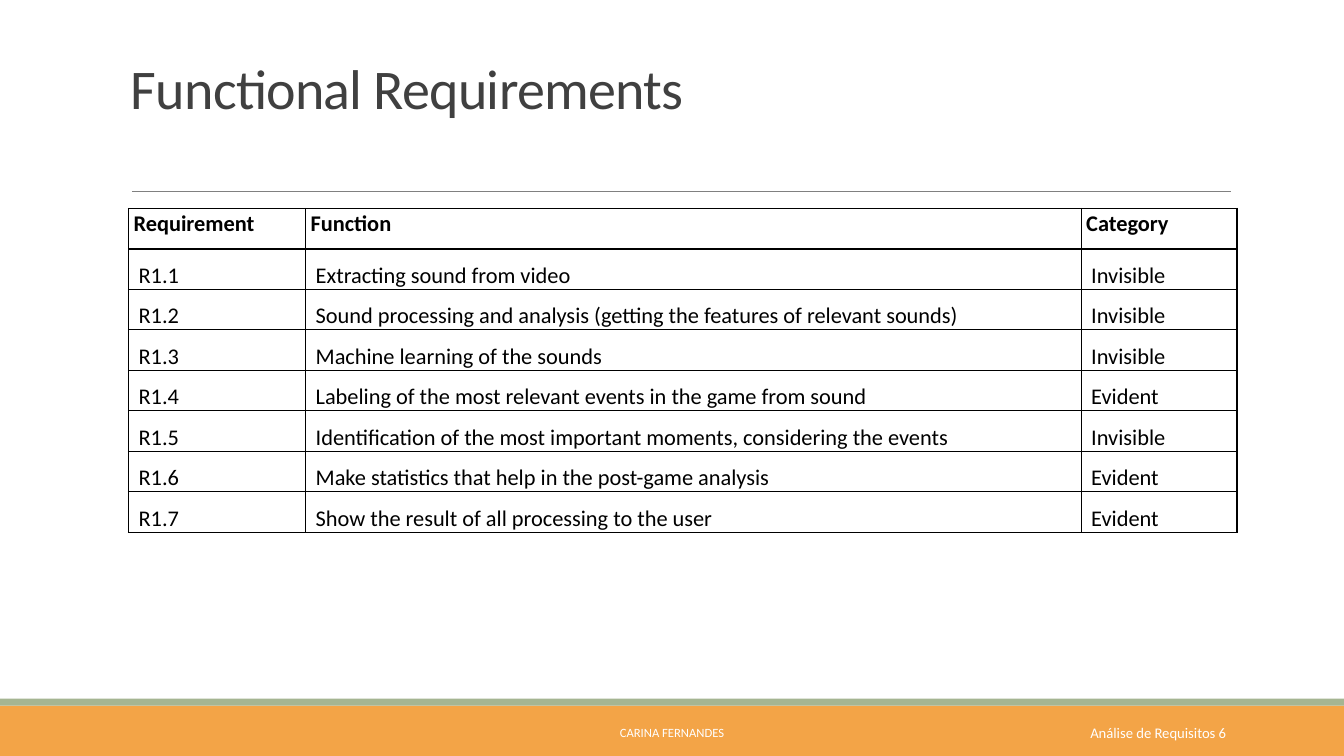
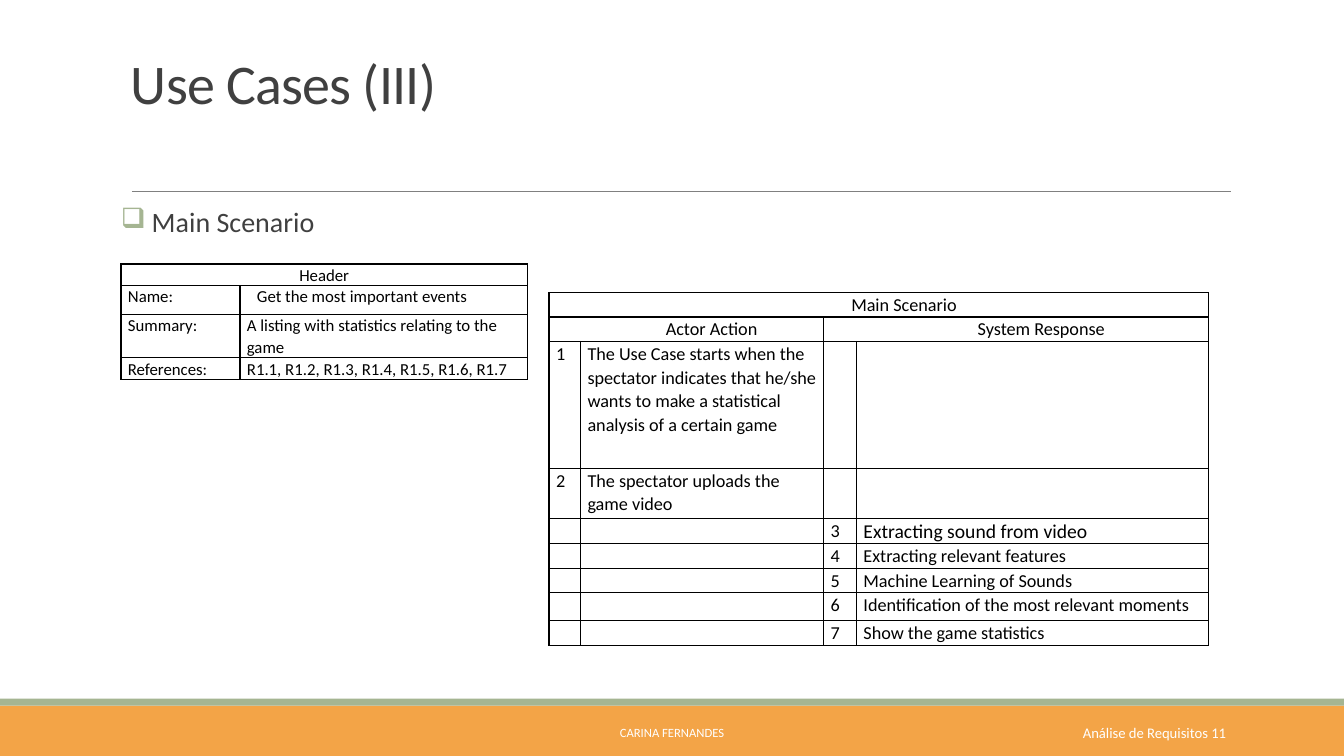
from dataclasses import dataclass
from typing import Any, NamedTuple

from lxml.etree import SubElement
from pptx import Presentation
from pptx.dml.color import RGBColor
from pptx.enum.shapes import MSO_CONNECTOR, MSO_SHAPE
from pptx.enum.text import MSO_ANCHOR, PP_ALIGN
from pptx.oxml import parse_xml
from pptx.oxml.ns import nsdecls, qn
from pptx.util import Pt


# Theme: colours and type sizes
@dataclass(frozen=True)
class Theme:
    font: str = "Calibri"
    band: RGBColor = RGBColor(0xF3, 0xA4, 0x47)
    trim: RGBColor = RGBColor(0xA5, 0xB5, 0x92)
    rule: RGBColor = RGBColor(0x80, 0x80, 0x80)
    head: RGBColor = RGBColor(0x40, 0x40, 0x40)
    ink: RGBColor = RGBColor(0, 0, 0)
    white: RGBColor = RGBColor(0xFF, 0xFF, 0xFF)
    title: float = 40
    body: float = 20
    name: float = 9
    page: float = 10.5
    large: float = 16
    mid: float = 13
    small: float = 12


LOOK = Theme()
WIDE, HIGH = 960, 540


class Box(NamedTuple):
    left: float
    top: float
    width: float
    height: float

    def pts(self) -> list[Pt]:
        return [Pt(v) for v in self]


@dataclass(frozen=True)
class Cell:
    text: str = ""
    span: int = 1
    align: PP_ALIGN = PP_ALIGN.LEFT
    shift: float = 0
    size: float | None = None
    bold: bool = False
    low: bool = False
    inset: float | None = None


@dataclass(frozen=True)
class Grid:
    left: float
    top: float
    cols: list[float]
    rows: list[float]
    cells: list[list[Cell]]
    size: float
    inset: float


# Helpers
def put(item: Any, form: dict[str, Any]) -> None:
    for key, val in form.items():
        setattr(item, key, val)


def style(run: Any, size: float, hue: RGBColor, bold: bool = False) -> None:
    put(run.font, {"name": LOOK.font, "size": Pt(size), "bold": bold})
    run.font.color.rgb = hue


def write(slide: Any, box: Box, text: str, size: float, hue: RGBColor,
          align: PP_ALIGN = PP_ALIGN.LEFT,
          anchor: MSO_ANCHOR = MSO_ANCHOR.TOP, side: float = 7.2) -> Any:
    frame = slide.shapes.add_textbox(*box.pts()).text_frame
    put(frame, {"word_wrap": True, "vertical_anchor": anchor,
                "margin_left": Pt(side), "margin_right": Pt(side),
                "margin_top": 0, "margin_bottom": 0})
    para = frame.paragraphs[0]
    para.alignment = align
    run = para.add_run()
    run.text = text
    style(run, size, hue)
    return para


def bar(slide: Any, box: Box, hue: RGBColor) -> None:
    shape = slide.shapes.add_shape(MSO_SHAPE.RECTANGLE, *box.pts())
    shape.shadow.inherit = False
    shape.fill.solid()
    shape.fill.fore_color.rgb = hue
    shape.line.fill.background()


def edge(cell: Any) -> None:
    props = cell._tc.get_or_add_tcPr()
    for i, side in enumerate(("lnL", "lnR", "lnT", "lnB")):
        props.insert(i, parse_xml(
            f'<a:{side} {nsdecls("a")} w="{Pt(1)}"><a:solidFill>'
            f'<a:srgbClr val="{LOOK.ink}"/></a:solidFill></a:{side}>'))


def fill(spot: Any, cell: Cell, grid: Grid) -> None:
    inset = grid.inset if cell.inset is None else cell.inset
    put(spot, {"margin_left": Pt(inset), "margin_right": Pt(grid.inset),
               "margin_top": 0, "margin_bottom": 0,
               "vertical_anchor":
                   MSO_ANCHOR.BOTTOM if cell.low else MSO_ANCHOR.TOP})
    para = spot.text_frame.paragraphs[0]
    put(para, {"alignment": cell.align, "line_spacing": 1.07})
    size = cell.size or grid.size
    if cell.shift:
        para._p.get_or_add_pPr().set("marL", str(Pt(cell.shift)))
    if cell.text:
        run = para.add_run()
        run.text = cell.text
        style(run, size, LOOK.ink, cell.bold)
    else:
        para._p.get_or_add_endParaRPr().set("sz", str(int(size * 100)))


def draw(slide: Any, grid: Grid) -> None:
    box = Box(grid.left, grid.top, sum(grid.cols), sum(grid.rows))
    table = slide.shapes.add_table(
        len(grid.rows), len(grid.cols), *box.pts()).table
    put(table, {"first_row": False, "horz_banding": False})
    for col, width in zip(table.columns, grid.cols):
        col.width = Pt(width)
    for row, height in zip(table.rows, grid.rows):
        row.height = Pt(height)
    for spot in table.iter_cells():
        spot.fill.background()
        edge(spot)
    for r, line in enumerate(grid.cells):
        c = 0
        for cell in line:
            spot = table.cell(r, c)
            if cell.span > 1:
                spot.merge(table.cell(r, c + cell.span - 1))
            fill(spot, cell, grid)
            c += cell.span


# Shared frame: bands, rule, title and footer
def start(deck: Any, title: str, top: float, page: int) -> Any:
    slide = deck.slides.add_slide(deck.slide_layouts[6])
    bar(slide, Box(0, 504, WIDE, 36), LOOK.band)
    bar(slide, Box(0, 499, WIDE, 5), LOOK.trim)
    rule = slide.shapes.add_connector(
        MSO_CONNECTOR.STRAIGHT, Pt(94.3), Pt(136.8), Pt(879), Pt(136.8))
    rule.line.color.rgb = LOOK.rule
    rule.line.width = Pt(0.5)
    SubElement(rule._element.spPr, qn("a:effectLst"))
    para = write(slide, Box(86.4, top, 792, 50), title, LOOK.title, LOOK.head)
    para.runs[0].font._element.set("spc", "-50")
    write(slide, Box(290, 508.5, 380, 29), "CARINA FERNANDES", LOOK.name,
          LOOK.white, PP_ALIGN.CENTER, MSO_ANCHOR.MIDDLE)
    write(slide, Box(689, 508.5, 194, 29), f"Análise de Requisitos {page}",
          LOOK.page, LOOK.white, PP_ALIGN.RIGHT, MSO_ANCHOR.MIDDLE)
    return slide


# Slide: functional requirements
def needs(deck: Any) -> None:
    slide = start(deck, "Functional Requirements", 38.3, 6)
    items = [
        ("Extracting sound from video", "Invisible"),
        ("Sound processing and analysis (getting the features of relevant "
         "sounds)", "Invisible"),
        ("Machine learning of the sounds", "Invisible"),
        ("Labeling of the most relevant events in the game from sound",
         "Evident"),
        ("Identification of the most important moments, considering the "
         "events", "Invisible"),
        ("Make statistics that help in the post-game analysis", "Evident"),
        ("Show the result of all processing to the user", "Evident"),
    ]
    cells = [[Cell(t, bold=True)
              for t in ("Requirement", "Function", "Category")]]
    cells += [[Cell(t, low=True, inset=7.2) for t in (f"R1.{n}", *item)]
              for n, item in enumerate(items, 1)]
    draw(slide, Grid(91.8, 149, [126.5, 554, 111.3], [28.9] * len(cells),
                     cells, LOOK.large, 3.6))


# Slide: use cases
def cases(deck: Any) -> None:
    slide = start(deck, "Use Cases (III)", 35, 11)
    para = write(slide, Box(86.4, 149, 792, 30), "Main Scenario", LOOK.body,
                 LOOK.head, side=0)
    para.line_spacing = 0.9
    props = para._p.get_or_add_pPr()
    put_in = {"marL": Pt(22), "indent": -Pt(22)}
    for key, val in put_in.items():
        props.set(key, str(val))
    hue = SubElement(props, qn("a:buClr"))
    SubElement(hue, qn("a:srgbClr")).set("val", str(LOOK.trim))
    SubElement(props, qn("a:buChar")).set("char", "❑")

    # Header table
    mid = PP_ALIGN.CENTER
    cells = [
        [Cell("Header", 2, mid)],
        [Cell("Name:"), Cell("Get the most important events", shift=7.2)],
        [Cell("Summary:"),
         Cell("A listing with statistics relating to the game")],
        [Cell("References:"),
         Cell(", ".join(f"R1.{n}" for n in range(1, 8)))],
    ]
    draw(slide, Grid(86.4, 188.6, [85, 205.4], [15.4, 20.5, 31, 15.4],
                     cells, LOOK.small, 5))

    # Scenario table
    acts = [
        "The Use Case starts when the spectator indicates that he/she wants "
        "to make a statistical analysis of a certain game",
        "The spectator uploads the game video",
    ]
    replies = [
        Cell("Extracting sound from video", size=14),
        Cell("Extracting relevant features"),
        Cell("Machine Learning of Sounds"),
        Cell("Identification of the most relevant moments"),
        Cell("Show the game statistics"),
    ]
    void = [Cell(), Cell()]
    cells = [[Cell("Main Scenario", 4, mid, 36)],
             [Cell(t, 2, mid, 36) for t in ("Actor Action",
                                           "System Response")]]
    cells += [[Cell(str(n)), Cell(act), *void]
              for n, act in enumerate(acts, 1)]
    cells += [[*void, Cell(str(n)), reply]
              for n, reply in enumerate(replies, len(acts) + 1)]
    draw(slide, Grid(392.2, 209, [22.5, 173.6, 23.5, 251.4],
                     [17.5, 17.5, 90.5, 36, 17.5, 17.5, 17.5, 20, 17.5],
                     cells, LOOK.mid, 5))


def main() -> None:
    deck = Presentation()
    put(deck, {"slide_width": Pt(WIDE), "slide_height": Pt(HIGH)})
    needs(deck)
    cases(deck)
    deck.save("out.pptx")


if __name__ == "__main__":
    main()
